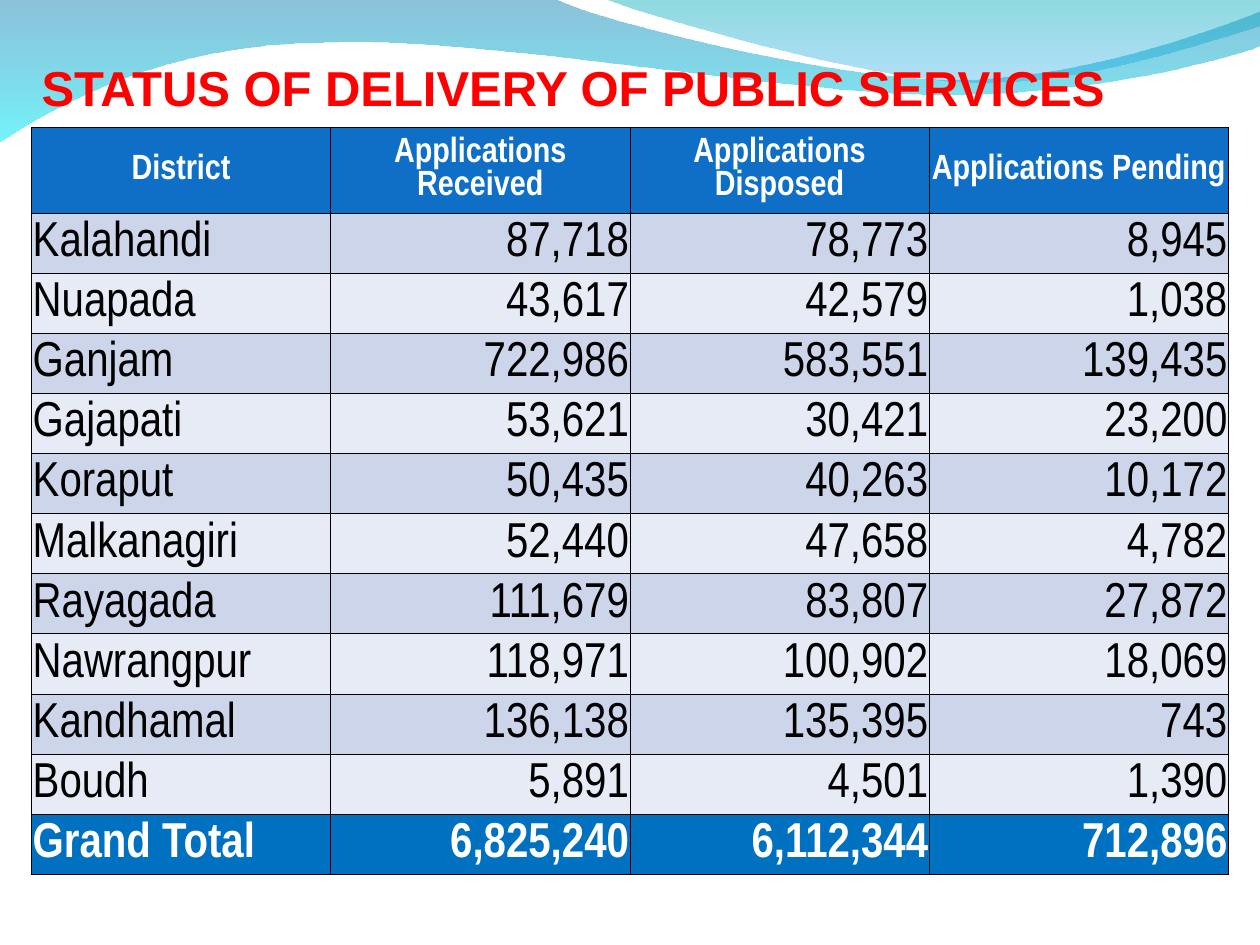
from dataclasses import dataclass

from lxml.etree import SubElement
from pptx import Presentation
from pptx.dml.color import RGBColor as Rgb
from pptx.enum.text import MSO_ANCHOR as Anchor, PP_ALIGN as Align
from pptx.oxml.ns import qn
from pptx.util import Inches, Pt


@dataclass(frozen=True)
class Theme:
    """Colours, fonts and type sizes of the slide."""
    title_font: str = "Arial"
    table_font: str = "Arial Narrow"
    title_size: int = 28
    header_size: int = 20
    body_size: int = 28
    border_width: float = 0.45
    title: str = "FF0000"
    text: str = "000000"
    light_text: str = "FFFFFF"
    border: str = "000000"
    header: str = "0F6FC6"
    bands: tuple = ("CCD5EA", "E7EBF5")
    total: str = "0070C0"
    back_wave: tuple = (("0079AF", 45), ("00EBF8", 55))
    front_wave: tuple = (("00ADB6", 45), ("009BE5", 30))


BACK_WAVE = [
    [(0, -0.01)],
    [(4.4, -0.01)],
    [(4.76, 0.17), (6.64, 0.63), (7.58, 0.63)],
    [(8.53, 0.63), (9.58, 0.26), (10, 0.09)],
    [(10.01, 0.36)],
    [(9.83, 0.44), (8.7, 0.76), (7.46, 0.75)],
    [(6.22, 0.75), (3.82, 0.28), (2.57, 0.34)],
    [(1.29, 0.35), (0.46, 0.83), (-0.01, 1.13)],
]
FRONT_WAVE = [
    [(4.79, -0.01)],
    [(5.09, 0.11), (6.82, 0.62), (7.69, 0.65)],
    [(8.56, 0.69), (9.61, 0.32), (10, 0.21)],
    [(10, 0)],
]
HEADERS = ("District", "Applications Received", "Applications Disposed", "Applications Pending")
DISTRICTS = [
    ("Kalahandi", 87718, 78773, 8945),
    ("Nuapada", 43617, 42579, 1038),
    ("Ganjam", 722986, 583551, 139435),
    ("Gajapati", 53621, 30421, 23200),
    ("Koraput", 50435, 40263, 10172),
    ("Malkanagiri", 52440, 47658, 4782),
    ("Rayagada", 111679, 83807, 27872),
    ("Nawrangpur", 118971, 100902, 18069),
    ("Kandhamal", 136138, 135395, 743),
    ("Boudh", 5891, 4501, 1390),
]
GRAND_TOTAL = ("Grand Total", 6825240, 6112344, 712896)


class SlideBuilder:
    """Draws themed elements on the current slide."""

    def __init__(self, slide, theme):
        self.slide = slide
        self.theme = theme

    def style(self, paragraph, font_name, size, color, bold, align):
        """Format a paragraph and its runs."""
        paragraph.alignment = align
        for run in paragraph.runs:
            run.font.name = font_name
            run.font.size = Pt(size)
            run.font.bold = bold
            run.font.color.rgb = Rgb.from_string(color)

    def curve(self, band, segments):
        """Turn the band's straight sides into cubic curves where controls are given."""
        sides = list(band._element.spPr.iter(qn("a:lnTo")))
        for side, segment in zip(sides, segments[1:]):
            if len(segment) == 1:
                continue
            bezier = side.makeelement(qn("a:cubicBezTo"))
            for x, y in segment:
                SubElement(bezier, qn("a:pt"), x=str(Inches(x) - band.left),
                           y=str(Inches(y) - band.top))
            side.getparent().replace(side, bezier)

    def wave(self, segments, stops):
        """Draw a translucent curved band on the slide master."""
        points = [(Inches(x), Inches(y)) for x, y in (segment[-1] for segment in segments)]
        outline = self.slide.shapes.build_freeform(*points[0])
        outline.add_line_segments(points[1:], close=True)
        band = outline.convert_to_shape()
        self.curve(band, segments)
        band.shadow.inherit = False
        band.line.fill.background()
        band.fill.gradient()
        band.fill.gradient_angle = 270
        for stop, position, (color, _) in zip(band.fill.gradient_stops, (0, 1), stops):
            stop.position = position
            stop.color.rgb = Rgb.from_string(color)
        colors = list(band._element.spPr.iter(qn("a:srgbClr")))
        for color, (_, opacity) in zip(colors, stops):
            SubElement(color, qn("a:alpha"), val=str(opacity * 1000))
        self.slide.slide_layout.slide_master.shapes._spTree.append(band._element)

    def title(self, wording, left, top, width, height):
        """Place and format the title placeholder."""
        heading = self.slide.shapes.title
        heading.left, heading.top = Inches(left), Inches(top)
        heading.width, heading.height = Inches(width), Inches(height)
        frame = heading.text_frame
        frame.text = wording
        frame.word_wrap = True
        frame.vertical_anchor = Anchor.BOTTOM
        frame.margin_left = frame.margin_right = frame.margin_bottom = 0
        frame.margin_top = Inches(0.05)
        self.style(frame.paragraphs[0], self.theme.title_font, self.theme.title_size,
                   self.theme.title, True, Align.LEFT)

    def border(self, cell):
        """Give a cell thin lines on all four sides."""
        properties = cell._tc.get_or_add_tcPr()
        for index, side in enumerate(("lnL", "lnR", "lnT", "lnB")):
            line = properties.makeelement(qn(f"a:{side}"), w=str(Pt(self.theme.border_width)))
            properties.insert(index, line)
            SubElement(SubElement(line, qn("a:solidFill")), qn("a:srgbClr"),
                       val=self.theme.border)

    def table_row(self, cells, values, fill, size, color, bold, is_header=False):
        """Fill and format one row of the table."""
        for column, (cell, value) in enumerate(zip(cells, values)):
            cell.text = value if isinstance(value, str) else f"{value:,}"
            cell.fill.solid()
            cell.fill.fore_color.rgb = Rgb.from_string(fill)
            cell.margin_left = cell.margin_right = Inches(0.01)
            cell.vertical_anchor = Anchor.MIDDLE if is_header else Anchor.BOTTOM
            align = Align.CENTER if is_header else Align.RIGHT if column else Align.LEFT
            self.style(cell.text_frame.paragraphs[0], self.theme.table_font, size, color,
                       bold, align)
            self.border(cell)

    def status_table(self, left, top, width, height, header_height):
        """Build the district table with its header and total."""
        theme = self.theme
        count = len(DISTRICTS) + 2
        table = self.slide.shapes.add_table(
            count, len(HEADERS), Inches(left), Inches(top), Inches(width), Inches(height)).table
        for row in table.rows:
            row.height = Inches((height - header_height) / (count - 1))
        table.rows[0].height = Inches(header_height)
        header, *districts, total = [row.cells for row in table.rows]
        self.table_row(header, HEADERS, theme.header, theme.header_size,
                       theme.light_text, True, is_header=True)
        for index, (cells, values) in enumerate(zip(districts, DISTRICTS)):
            self.table_row(cells, values, theme.bands[index % 2], theme.body_size,
                           theme.text, False)
        self.table_row(total, GRAND_TOTAL, theme.total, theme.body_size,
                       theme.light_text, True)


def main():
    """Build and save the slide."""
    theme = Theme()
    deck = Presentation()
    deck.slide_width, deck.slide_height = Inches(10), Inches(7.5)
    builder = SlideBuilder(deck.slides.add_slide(deck.slide_layouts[5]), theme)
    builder.wave(BACK_WAVE, theme.back_wave)
    builder.wave(FRONT_WAVE, theme.front_wave)
    builder.title("STATUS OF DELIVERY OF PUBLIC SERVICES", 0.33, 0.25, 9.5, 0.67)
    builder.status_table(0.25, 1.01, 9.5, 5.93, 0.68)
    deck.save("out.pptx")


if __name__ == "__main__":
    main()
